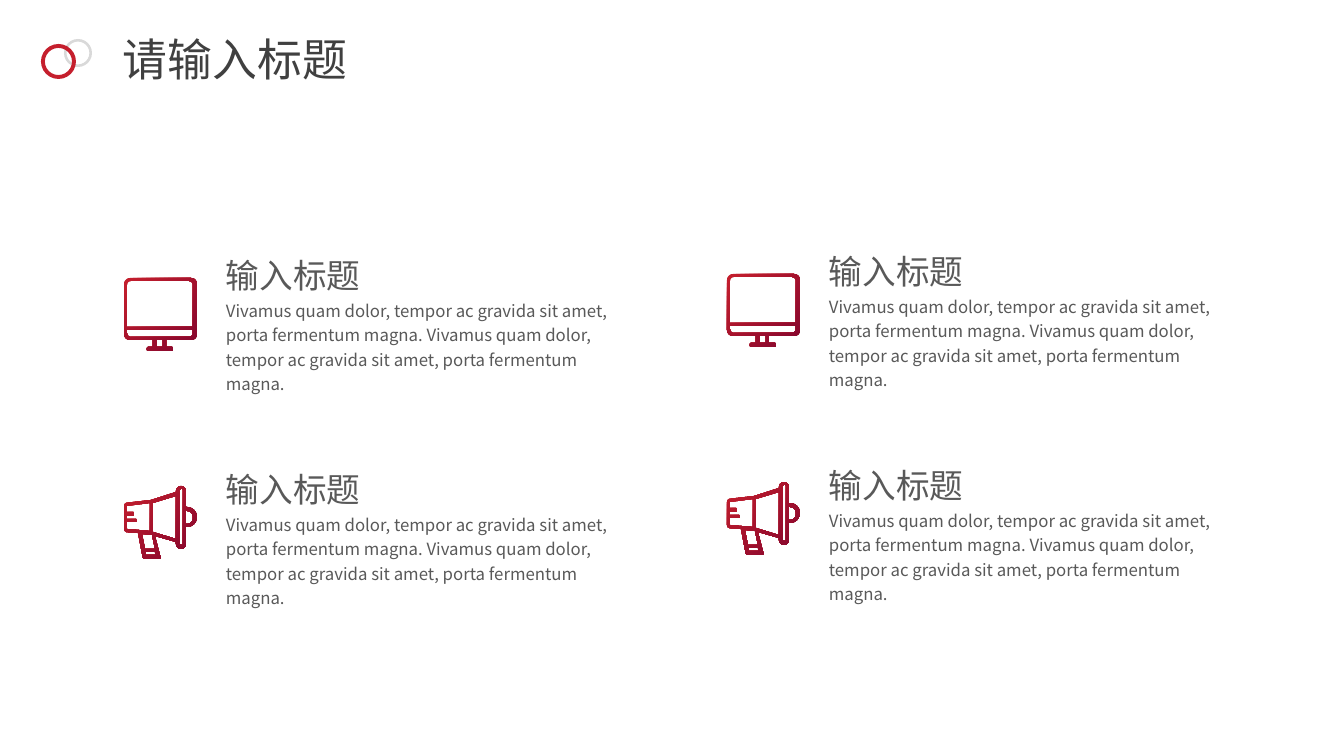
import pptx
import pptx.dml.color
import pptx.enum.shapes
import pptx.enum.text
import pptx.oxml.ns
import pptx.util
from lxml import etree

# Content
TITLE = "请输入标题"
HEADING = "输入标题"
BODY = ("Vivamus quam dolor, tempor ac gravida sit amet, porta fermentum magna. "
        "Vivamus quam dolor, tempor ac gravida sit amet, porta fermentum magna.")
ROWS = [("monitor", HEADING, BODY), ("megaphone", HEADING, BODY)]

# Icon contours in px: (x, y) is a sharp corner, (x, y, radius) a rounded one
ICONS = {
    "monitor": [
        [(0, 0, 6), (73, 0, 6), (73, 62, 6), (42, 62), (42, 69), (49, 69, 1), (49, 73, 1),
         (23, 73, 1), (23, 69, 1), (29, 69), (29, 62), (0, 62, 6)],
        [(3, 49), (3, 3, 4), (69, 3, 4), (69, 49)],
        [(3, 52), (69, 52), (69, 59, 4), (3, 59, 4)],
        [(33, 62), (39, 62), (39, 69), (33, 69)],
    ],
    "megaphone": [
        [(62, 21), (62, 0, 5), (52, 0, 5), (52, 6), (27, 14), (0, 17, 3), (0, 46, 3),
         (14, 47), (19, 73, 2), (37, 73, 2), (31, 50), (52, 56), (52, 63, 5), (62, 63, 5),
         (62, 41), (73, 41, 10), (73, 21, 10)],
        [(62, 25), (69, 25, 6), (69, 38, 6), (62, 38)],
        [(56, 3, 1), (59, 3, 1), (59, 59, 1), (56, 59, 1)],
        [(52, 53), (29, 46), (29, 17), (52, 10)],
        [(31, 66), (32, 69), (22, 69), (22, 66)],
        [(21, 63), (18, 48), (28, 49), (31, 63)],
        [(3, 43), (3, 36), (13, 36, 1), (13, 33, 1), (3, 33), (3, 30), (10, 30, 1),
         (10, 26, 1), (3, 26), (3, 20), (26, 17), (26, 45)],
    ],
}

THEME = {
    "font": "Noto Sans CJK SC",
    "title": (32, "404040"),
    "heading": (24, "595959"),
    "body": (12, "595959"),
    "ring_back": "D9D9D9",
    "ring_front": "C51F2D",
    "icon_gradient": ("C51F2D", "83062E"),
}

# Layout in px
PX = 914400 / 100.8
SLIDE_SIZE = (1344, 756)
RINGS = [((64, 39, 28, 28), 0.092, "ring_back"), ((41, 44, 35, 35), 0.112, "ring_front")]
TITLE_BOX = (113, 27, 247, 65)
COLUMN_STEP, COLUMN_RISE = 603, 4
ICON_LEFT, ICON_TOP, ICON_STEP = 124, 278, 208
TEXT_LEFT, TEXT_WIDTH, TEXT_STEP = 216, 404, 214
HEADING_TOP, HEADING_HEIGHT = 242, 55
BODY_TOP, BODY_HEIGHT = 292, 84
CORNER_STEPS = 6


def emu(*lengths):
    return [pptx.util.Emu(round(length * PX)) for length in lengths]


def rgb(value):
    return pptx.dml.color.RGBColor.from_string(value)


def add_text(slide, box, text, style, wrap=True, line_spacing=None):
    frame = slide.shapes.add_textbox(*emu(*box)).text_frame
    frame.word_wrap = wrap
    frame.auto_size = pptx.enum.text.MSO_AUTO_SIZE.SHAPE_TO_FIT_TEXT
    paragraph = frame.paragraphs[0]
    paragraph.line_spacing = line_spacing
    run = paragraph.add_run()
    run.text = text
    size, color = THEME[style]
    run.font.size = pptx.util.Pt(size)
    run.font.color.rgb = rgb(color)
    run.font.name = THEME["font"]
    east_asian = etree.SubElement(run.font._element, pptx.oxml.ns.qn("a:ea"))
    east_asian.set("typeface", THEME["font"])


def toward(start, end, radius):
    distance = ((end[0] - start[0]) ** 2 + (end[1] - start[1]) ** 2) ** 0.5
    return [a + (b - a) * radius / distance for a, b in zip(start, end)]


def round_corners(contour):
    points = []
    for index, corner in enumerate(contour):
        if len(corner) == 2:
            points.append(corner)
            continue
        following = contour[(index + 1) % len(contour)]
        start = toward(corner, contour[index - 1], corner[2])
        end = toward(corner, following, corner[2])
        # Cubic curve whose handles reach 55 % of the way to the corner
        handles = [toward(side, corner, 0.55 * corner[2]) for side in (start, end)]
        for step in range(CORNER_STEPS + 1):
            t = step / CORNER_STEPS
            weights = ((1 - t) ** 3, 3 * t * (1 - t) ** 2, 3 * t * t * (1 - t), t ** 3)
            curve = (start, *handles, end)
            points.append([sum(w * p[axis] for w, p in zip(weights, curve))
                           for axis in (0, 1)])
    return points


def add_icon(slide, left, top, contours):
    outlines = [[emu(left + x, top + y) for x, y in round_corners(contour)]
                for contour in contours]
    builder = slide.shapes.build_freeform(*outlines[0][0])
    for number, outline in enumerate(outlines):
        if number:
            builder.move_to(*outline[0])
        builder.add_line_segments(outline[1:], close=True)
    shape = builder.convert_to_shape()
    shape.shadow.inherit = False
    shape.line.fill.background()
    shape.fill.gradient()
    shape.fill.gradient_angle = 315
    for stop, color in zip(shape.fill.gradient_stops, THEME["icon_gradient"]):
        stop.color.rgb = rgb(color)


def main():
    presentation = pptx.Presentation()
    presentation.slide_width, presentation.slide_height = emu(*SLIDE_SIZE)
    slide = presentation.slides.add_slide(presentation.slide_layouts[6])

    # Title with its two rings
    rings = slide.shapes.add_group_shape()
    for box, thickness, color in RINGS:
        ring = rings.shapes.add_shape(pptx.enum.shapes.MSO_SHAPE.DONUT, *emu(*box))
        ring.adjustments[0] = thickness
        ring.shadow.inherit = False
        ring.line.fill.background()
        ring.fill.solid()
        ring.fill.fore_color.rgb = rgb(THEME[color])
    add_text(slide, TITLE_BOX, TITLE, "title", wrap=False)

    # Two columns of icon, heading and body; the right one sits slightly higher
    for column in range(2):
        shift, rise = column * COLUMN_STEP, column * COLUMN_RISE
        for row, (icon, heading, body) in enumerate(ROWS):
            add_icon(slide, ICON_LEFT + shift, ICON_TOP + row * ICON_STEP - rise, ICONS[icon])
            text_shift = row * TEXT_STEP - rise
            for text, style, top, height in (
                    (heading, "heading", HEADING_TOP, HEADING_HEIGHT),
                    (body, "body", BODY_TOP, BODY_HEIGHT)):
                box = (TEXT_LEFT + shift, top + text_shift, TEXT_WIDTH, height)
                add_text(slide, box, text, style, line_spacing=1.2)

    presentation.save("out.pptx")


if __name__ == "__main__":
    main()
